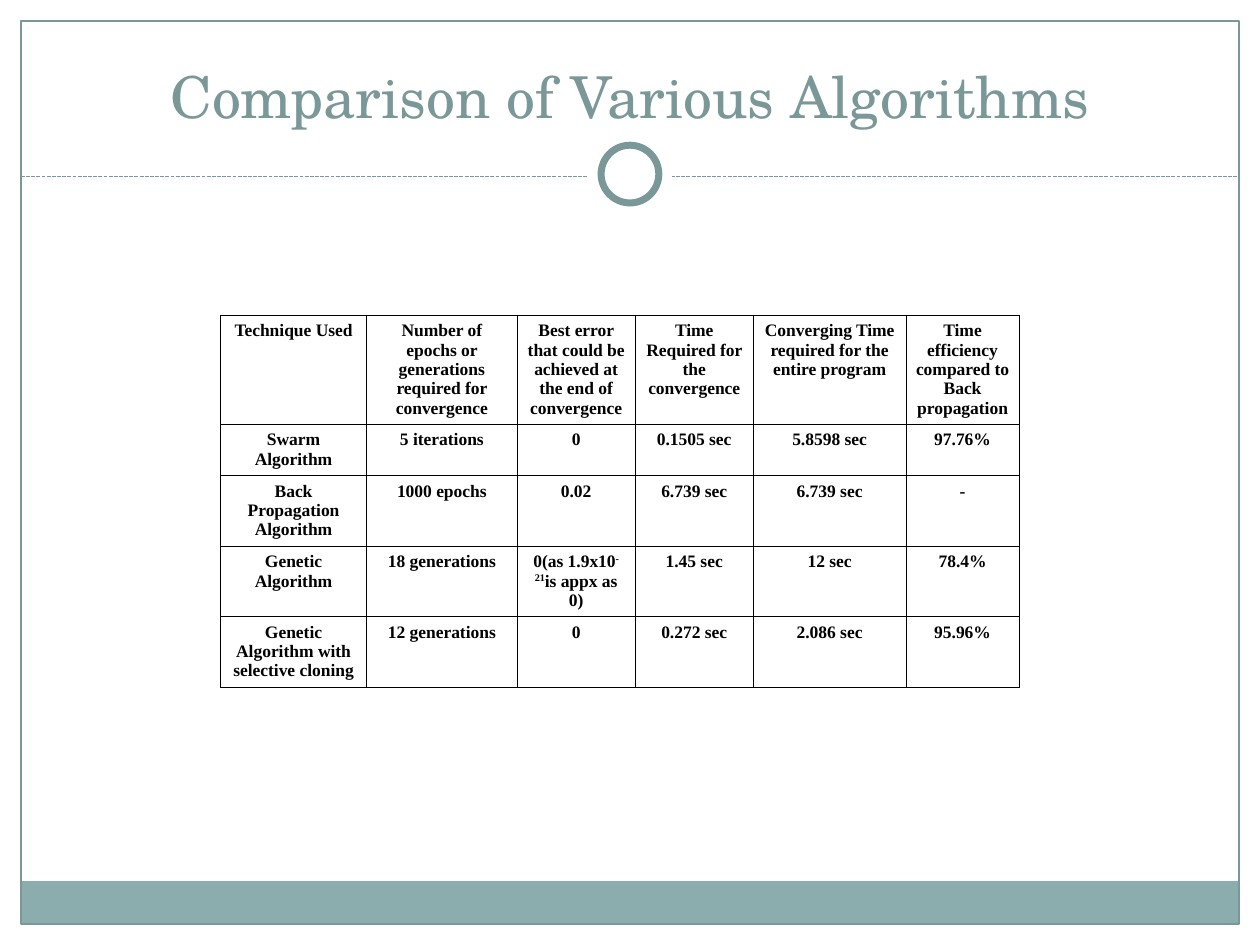
from dataclasses import dataclass

from lxml.etree import SubElement
from pptx import Presentation
from pptx.dml.color import RGBColor
from pptx.enum.dml import MSO_LINE
from pptx.enum.shapes import MSO_CONNECTOR, MSO_SHAPE
from pptx.enum.text import MSO_ANCHOR, MSO_AUTO_SIZE, PP_ALIGN
from pptx.oxml.ns import qn
from pptx.util import Pt


@dataclass(frozen=True)
class Theme:
    """Colours, fonts and sizes of the slide."""
    accent: RGBColor = RGBColor(0x7B, 0x98, 0x99)
    footer: RGBColor = RGBColor(0x8C, 0xAD, 0xAE)
    paper: RGBColor = RGBColor(0xFF, 0xFF, 0xFF)
    ink: RGBColor = RGBColor(0, 0, 0)
    title_font: str = "TeX Gyre Schola"
    table_font: str = "Times New Roman"
    title_size: float = 33
    table_size: float = 10
    hairline: float = 0.75
    ring: float = 4
    grid: float = 0.45


THEME = Theme()
TITLE = "Comparison of Various Algorithms"
COLUMN_WIDTHS = (83.5, 86, 67.5, 67.5, 87.25, 64.75)
ROW_HEIGHTS = (60.5, 24, 36, 36, 36)
SUPERSCRIPT = "-21"
ROWS = (
    ("Technique Used", "Number of epochs or generations required for convergence",
     "Best error that could be achieved at the end of convergence",
     "Time Required for the convergence",
     "Converging Time required for the entire program",
     "Time efficiency compared to Back propagation"),
    ("Swarm Algorithm", "5 iterations", "0", "0.1505 sec", "5.8598 sec", "97.76%"),
    ("Back Propagation Algorithm", "1000 epochs", "0.02", "6.739 sec", "6.739 sec", "-"),
    ("Genetic Algorithm", "18 generations", ("0(as 1.9x10", SUPERSCRIPT, "is appx as 0)"),
     "1.45 sec", "12 sec", "78.4%"),
    ("Genetic Algorithm with selective cloning", "12 generations", "0",
     "0.272 sec", "2.086 sec", "95.96%"),
)


def apply(target, values):
    """Set each attribute of the target from a dict."""
    for name, value in values.items():
        setattr(target, name, value)


def add_span(para, text, values, color):
    """Add a formatted run to a paragraph."""
    span = para.add_run()
    span.text = text
    apply(span.font, values)
    span.font.color.rgb = color
    return span


def add_figure(page, kind, box, fill=None, line=None, weight=THEME.hairline):
    """Add a plain preset shape in a box."""
    figure = page.shapes.add_shape(kind, *map(Pt, box))
    figure.shadow.inherit = False
    if fill is None:
        figure.fill.background()
    else:
        figure.fill.solid()
        figure.fill.fore_color.rgb = fill
    if line is None:
        figure.line.fill.background()
    else:
        figure.line.color.rgb = line
        figure.line.width = Pt(weight)


def add_frame(page, box):
    """Draw the page border, footer band, dashed rule and centre ring."""
    left, top, width, height = box
    footer_height, rule_top = 24.5, 101
    add_figure(page, MSO_SHAPE.RECTANGLE,
               (left, top + height - footer_height, width, footer_height), THEME.footer)
    add_figure(page, MSO_SHAPE.RECTANGLE, box, line=THEME.accent)
    rule = page.shapes.add_connector(
        MSO_CONNECTOR.STRAIGHT, Pt(left), Pt(rule_top), Pt(left + width), Pt(rule_top))
    SubElement(rule.element.spPr, qn("a:effectLst"))
    rule.line.color.rgb = THEME.accent
    apply(rule.line, {"width": Pt(THEME.hairline), "dash_style": MSO_LINE.SQUARE_DOT})
    center_x, center_y = left + width / 2, 99.5
    for diameter, line in ((48, None), (33, THEME.accent)):
        disc = (center_x - diameter / 2, center_y - diameter / 2, diameter, diameter)
        add_figure(page, MSO_SHAPE.OVAL, disc, THEME.paper, line, THEME.ring)


def add_title(page, box):
    """Place and format the title placeholder."""
    title = page.shapes.title
    apply(title, dict(zip(("left", "top", "width", "height"), map(Pt, box))))
    apply(title.text_frame, {
        "word_wrap": True, "auto_size": MSO_AUTO_SIZE.NONE,
        "vertical_anchor": MSO_ANCHOR.BOTTOM,
        "margin_left": Pt(7.2), "margin_right": Pt(7.2),
        "margin_top": Pt(3.6), "margin_bottom": Pt(3.6)})
    para = title.text_frame.paragraphs[0]
    para.alignment = PP_ALIGN.CENTER
    add_span(para, TITLE, {"name": THEME.title_font, "size": Pt(THEME.title_size)}, THEME.accent)


def add_borders(cell):
    """Draw a thin line on all four sides of a cell."""
    properties = cell._tc.get_or_add_tcPr()
    for side in ("lnL", "lnR", "lnT", "lnB"):
        border = SubElement(properties, qn(f"a:{side}"), w=str(int(Pt(THEME.grid))))
        fill = SubElement(border, qn("a:solidFill"))
        SubElement(fill, qn("a:srgbClr"), val=str(THEME.ink))


def fill_cell(cell, content):
    """Write and format one table cell."""
    apply(cell, {"margin_left": Pt(5.4), "margin_right": Pt(5.4),
                 "margin_top": Pt(3.6), "margin_bottom": Pt(3.6),
                 "vertical_anchor": MSO_ANCHOR.TOP})
    add_borders(cell)
    cell.fill.background()
    para = cell.text_frame.paragraphs[0]
    para.alignment = PP_ALIGN.CENTER
    values = {"name": THEME.table_font, "size": Pt(THEME.table_size), "bold": True}
    for text in (content,) if isinstance(content, str) else content:
        span = add_span(para, text, values, THEME.ink)
        if text == SUPERSCRIPT:
            span._r.get_or_add_rPr().set("baseline", "30000")


def add_comparison(page, box):
    """Build the comparison table in a box."""
    table = page.shapes.add_table(len(ROWS), len(COLUMN_WIDTHS), *map(Pt, box)).table
    apply(table, {"first_row": False, "horz_banding": False})
    for column, width in zip(table.columns, COLUMN_WIDTHS):
        column.width = Pt(width)
    for row, height, contents in zip(table.rows, ROW_HEIGHTS, ROWS):
        row.height = Pt(height)
        for cell, content in zip(row.cells, contents):
            fill_cell(cell, content)


def main():
    """Build the deck and save it."""
    deck = Presentation()
    apply(deck, {"slide_width": Pt(720), "slide_height": Pt(540)})
    page = deck.slides.add_slide(deck.slide_layouts[5])
    add_frame(page, (12, 12, 696, 516))
    add_title(page, (24, 18, 672, 60))
    add_comparison(page, (126, 180, sum(COLUMN_WIDTHS), sum(ROW_HEIGHTS)))
    deck.save("out.pptx")


if __name__ == "__main__":
    main()
